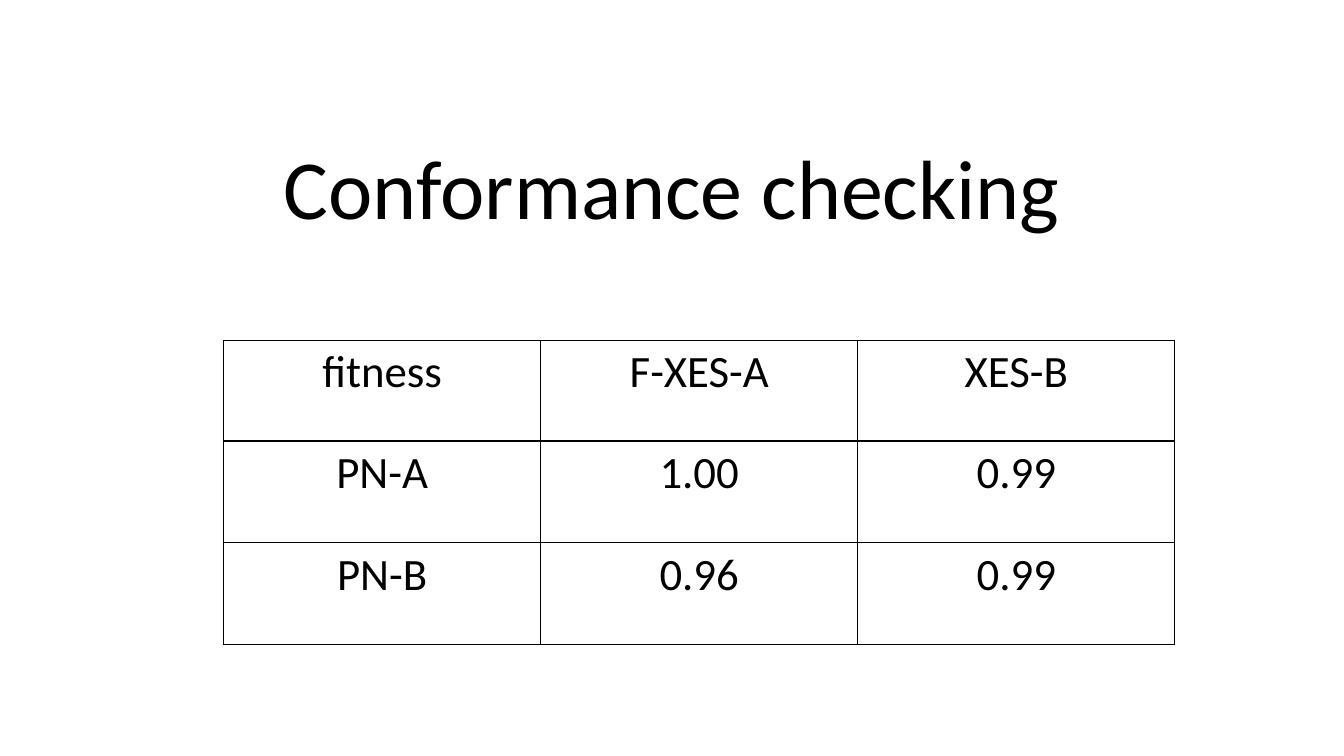
from dataclasses import dataclass

from lxml.etree import SubElement
from pptx import Presentation
from pptx.dml.color import RGBColor
from pptx.enum.text import MSO_ANCHOR, MSO_AUTO_SIZE, PP_ALIGN
from pptx.oxml.ns import qn
from pptx.util import Emu, Pt

EMU_PER_PX = 9525


@dataclass(frozen=True)
class Theme:
    font: str = "Calibri"
    ink: str = "000000"
    paper: str = "FFFFFF"
    title_size: int = 60
    cell_size: int = 32
    border_width: int = 1


THEME = Theme()
FITNESS = [
    ["fitness", "F-XES-A", "XES-B"],
    ["PN-A", "1.00", "0.99"],
    ["PN-B", "0.96", "0.99"],
]


def px(length):
    return Emu(length * EMU_PER_PX)


def style_paragraph(para, size):
    para.alignment = PP_ALIGN.CENTER
    para.font.name = THEME.font
    para.font.size = Pt(size)
    para.font.bold = False
    para.font.color.rgb = RGBColor.from_string(THEME.ink)


def set_title(page, text, left, top, width, height):
    title = page.shapes.title
    title.left, title.top = px(left), px(top)
    title.width, title.height = px(width), px(height)
    frame = title.text_frame
    frame.text = text
    frame.word_wrap = True
    frame.auto_size = MSO_AUTO_SIZE.NONE
    frame.vertical_anchor = MSO_ANCHOR.BOTTOM
    para = frame.paragraphs[0]
    para.line_spacing = 0.9
    style_paragraph(para, THEME.title_size)


def add_borders(cell):
    """Line all four sides; call before filling, since the schema puts lines first."""
    properties = cell._tc.get_or_add_tcPr()
    for side in ("a:lnL", "a:lnR", "a:lnT", "a:lnB"):
        line = SubElement(properties, qn(side), w=str(Pt(THEME.border_width)))
        fill = SubElement(line, qn("a:solidFill"))
        SubElement(fill, qn("a:srgbClr"), val=THEME.ink)


def add_grid(page, rows, left, top, column_width, row_heights):
    columns = len(rows[0])
    table = page.shapes.add_table(
        len(rows), columns, px(left), px(top),
        px(column_width * columns), px(sum(row_heights)),
    ).table
    table.first_row = False
    table.horz_banding = False
    for column in table.columns:
        column.width = px(column_width)
    for row, height, texts in zip(table.rows, row_heights, rows):
        row.height = px(height)
        for cell, text in zip(row.cells, texts):
            cell.text = text
            style_paragraph(cell.text_frame.paragraphs[0], THEME.cell_size)
            add_borders(cell)
            cell.fill.solid()
            cell.fill.fore_color.rgb = RGBColor.from_string(THEME.paper)


def main():
    deck = Presentation()
    deck.slide_width, deck.slide_height = px(1280), px(720)
    title_only = deck.slide_layouts[5]
    page = deck.slides.add_slide(title_only)
    set_title(page, "Conformance checking", 160, 118, 960, 113)
    add_grid(page, FITNESS, 213, 324, 302, [96, 97, 97])
    deck.save("out.pptx")


if __name__ == "__main__":
    main()
